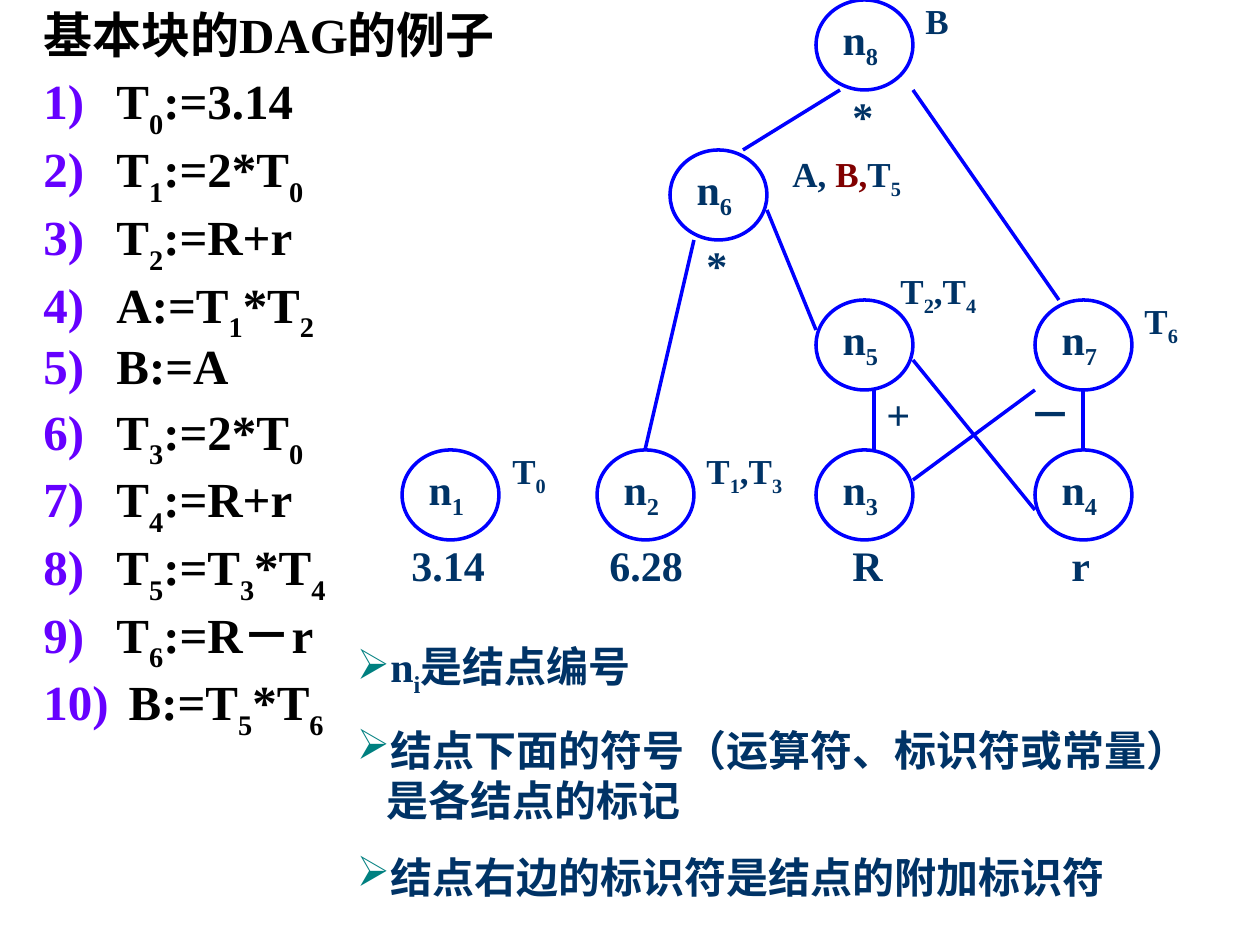
from lxml import etree
from pptx import Presentation, util as u
from pptx.dml import color
from pptx.enum import shapes, text
from pptx.oxml import ns

PX = 914400 // 126
theme = dict(
    font="Times New Roman", ink="003366", code="000000", red="800000",
    edge="0000FF", paper="FFFFFF", num="6600FF", mark="008080",
    big=28, mid=24, small=20, line=2,
)


def write(para, words, size, ink, drop):
    for i, part in enumerate(words.split("|")):
        tint = theme["red"] if i % 2 else ink
        for j, bit in enumerate(part.split("_")):
            pairs = [(bit[:1], drop), (bit[1:], 0)] if j else [(bit, 0)]
            for chars, base in pairs:
                if not chars:
                    continue
                run = para.add_run()
                run.text = chars
                look = dict(name=theme["font"], size=u.Pt(size), bold=True)
                for key, val in look.items():
                    setattr(run.font, key, val)
                run.font.color.rgb = color.RGBColor.from_string(tint)
                if base:
                    run.font._element.set("baseline", str(base))


def bullet(para, tint, tag, left, **attrs):
    props = para._p.get_or_add_pPr()
    props.set("marL", str(left * PX))
    props.set("indent", str(-left * PX))
    if tag:
        clr = etree.SubElement(props, ns.qn("a:buClr"))
        etree.SubElement(clr, ns.qn("a:srgbClr"), val=tint)
        etree.SubElement(props, ns.qn(tag), **attrs)


deck = Presentation()
deck.slide_width, deck.slide_height = 1260 * PX, 945 * PX
slide = deck.slides.add_slide(deck.slide_layouts[6])
just = text.PP_ALIGN.JUSTIFY

steps = [
    "基本块的DAG的例子", "T_0:=3.14", "T_1:=2*T_0", "T_2:=R+r", "A:=T_1*T_2",
    "B:=A", "T_3:=2*T_0", "T_4:=R+r", "T_5:=T_3*T_4", "T_6:=R－r", " B:=T_5*T_6",
]
box = slide.shapes.add_textbox(*[n * PX for n in (31, 10, 514, 725)])
frame = box.text_frame
frame.word_wrap = True
for i, words in enumerate(steps):
    para = frame.add_paragraph() if i else frame.paragraphs[0]
    bullet(para, theme["num"], "a:buAutoNum" if i else None, 73, type="arabicParenR")
    para.line_spacing = 0.8
    if i:
        para.space_before = u.Pt(7)
        para.alignment = just
    write(para, words, theme["big"], theme["code"], -30000)

wide, high = 97, 90
oval, rect = shapes.MSO_SHAPE.OVAL, shapes.MSO_SHAPE.RECTANGLE
mid, small = theme["mid"], theme["small"]
cols = [402, 597, 816, 1035]
rows = [0, 150, 300, 450]
base = rows[3] + high
parts = [
    (rect, 1017, 389, 71, 60, "－", mid),
    (rect, 874, 389, 71, 90, "+", mid),
    (rect, 840, 90, 73, 59, "*", mid),
    (rect, 694, 240, 73, 90, "*", mid),
    (rect, 1132, 300, 96, 90, "T_6", small),
    (rect, 780, 153, 146, 88, "A, |B,|T_5", small),
    (rect, 694, 450, 139, 90, "T_1,T_3", small),
    (rect, 500, 450, 101, 90, "T_0", small),
    (rect, 888, 270, 146, 90, "T_2,T_4", small),
    (rect, 913, 0, 73, 90, "B", small),
    (rect, 399, base, 101, 90, "3.14", mid),
    (rect, 597, base, 131, 90, "6.28", mid),
    (rect, 840, base, 97, 90, "R", mid),
    (rect, 1059, base, 73, 90, "r", mid),
]
nodes = [(x, rows[3]) for x in cols]
nodes += [(cols[2], rows[2]), (670, rows[1]), (cols[3], rows[2]), (cols[2], rows[0])]
parts += [(oval, x, y, wide, high, f"n_{i}", mid) for i, (x, y) in enumerate(nodes, 1)]
for kind, x, y, w, h, words, size in parts:
    part = slide.shapes.add_shape(kind, x * PX, y * PX, w * PX, h * PX)
    part.shadow.inherit = False
    part.fill.solid()
    part.fill.fore_color.rgb = color.RGBColor.from_string(theme["paper"])
    if kind == oval:
        part.line.color.rgb = color.RGBColor.from_string(theme["edge"])
        part.line.width = u.Pt(theme["line"])
    else:
        part.line.fill.background()
    frame = part.text_frame
    look = dict(word_wrap=True, margin_top=0, margin_bottom=0,
                vertical_anchor=text.MSO_ANCHOR.TOP)
    for key, val in look.items():
        setattr(frame, key, val)
    para = frame.paragraphs[0]
    para.alignment = just
    write(para, words, size, theme["ink"], -25000)

edges = [
    (840, 90, 743, 150), (913, 90, 1059, 300), (767, 210, 816, 330),
    (694, 240, 645, 450), (913, 360, 1035, 510), (1035, 390, 913, 480),
    (874, 390, 874, 450), (1083, 390, 1083, 450),
]
for ends in edges:
    edge = slide.shapes.add_connector(
        shapes.MSO_CONNECTOR.STRAIGHT, *[n * PX for n in ends])
    edge.line.color.rgb = color.RGBColor.from_string(theme["edge"])
    edge.line.width = u.Pt(theme["line"])
    etree.SubElement(edge._element.spPr, ns.qn("a:effectLst"))

notes = [
    "n_i是结点编号",
    "结点下面的符号（运算符、标识符或常量）是各结点的标记",
    "结点右边的标识符是结点的附加标识符",
]
box = slide.shapes.add_textbox(*[n * PX for n in (357, 641, 872, 261)])
frame = box.text_frame
look = dict(word_wrap=True, margin_left=0, margin_right=0, margin_top=0,
            margin_bottom=0, auto_size=text.MSO_AUTO_SIZE.SHAPE_TO_FIT_TEXT)
for key, val in look.items():
    setattr(frame, key, val)
for i, words in enumerate(notes):
    para = frame.add_paragraph() if i else frame.paragraphs[0]
    bullet(para, theme["mark"], "a:buChar", 30, char="➢")
    if i:
        para.space_before = u.Pt(15)
    write(para, words, mid, theme["ink"], -25000)

deck.save("out.pptx")
